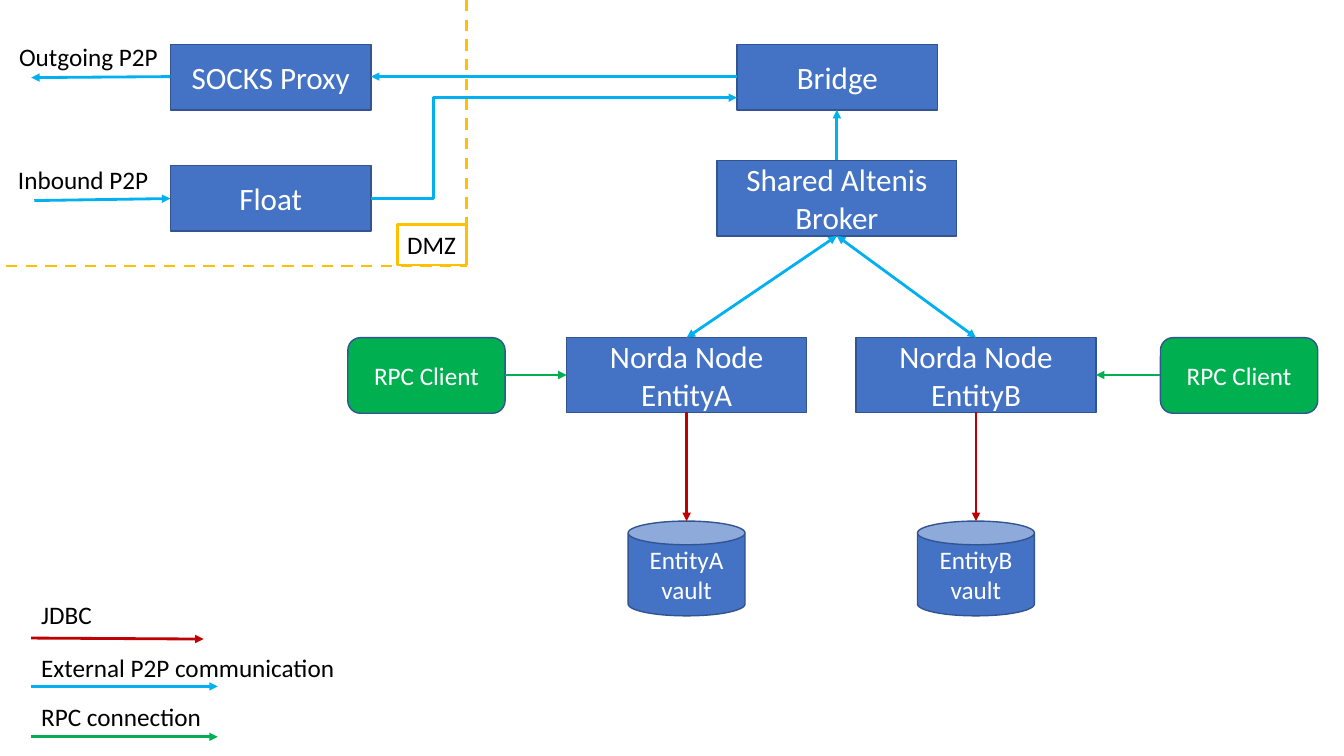
from dataclasses import dataclass
from typing import Optional

from lxml import etree
from pptx import Presentation
from pptx.dml.color import RGBColor
from pptx.enum.dml import MSO_LINE
from pptx.enum.shapes import MSO_CONNECTOR, MSO_SHAPE
from pptx.enum.text import MSO_ANCHOR, MSO_AUTO_SIZE, PP_ALIGN
from pptx.oxml.ns import qn
from pptx.util import Inches, Pt

COLORS = {
    "node": "4472C4",
    "border": "325491",
    "rpc": "00B050",
    "p2p": "00B0F0",
    "jdbc": "C00000",
    "dmz": "FFC000",
    "white": "FFFFFF",
    "black": "000000",
}
FONT = "Calibri"


@dataclass
class Style:
    preset: MSO_SHAPE
    fill: str
    size: float
    inset_x: float
    inset_y: float


@dataclass
class Box:
    text: str
    left: float
    top: float
    width: float
    height: float
    style: Style


@dataclass
class Label:
    text: str
    left: float
    top: float
    width: float
    border: Optional[str] = None


@dataclass
class Line:
    x1: float
    y1: float
    x2: float
    y2: float
    color: str
    head: bool = False
    tail: bool = True
    dashed: bool = False
    bend: Optional[float] = None


SERVER = Style(MSO_SHAPE.RECTANGLE, "node", 22.2, 0.12, 0.06)
VAULT = Style(MSO_SHAPE.CAN, "node", 18, 0.1, 0.05)
CLIENT = Style(MSO_SHAPE.ROUNDED_RECTANGLE, "rpc", 18, 0.1, 0.05)


def rgb(name: str) -> RGBColor:
    return RGBColor.from_string(COLORS[name])


def write(frame, text: str, size: float, color: str, align: PP_ALIGN) -> None:
    frame.text = text
    paragraph = frame.paragraphs[0]
    paragraph.alignment = align
    for run in paragraph.runs:
        run.font.name = FONT
        run.font.size = Pt(size)
        run.font.color.rgb = rgb(color)


def draw_box(shapes, box: Box) -> None:
    style = box.style
    shape = shapes.add_shape(style.preset, Inches(box.left), Inches(box.top),
                             Inches(box.width), Inches(box.height))
    shape.shadow.inherit = False
    shape.fill.solid()
    shape.fill.fore_color.rgb = rgb(style.fill)
    shape.line.color.rgb = rgb("border")
    shape.line.width = Pt(1)
    frame = shape.text_frame
    frame.word_wrap = True
    frame.vertical_anchor = MSO_ANCHOR.MIDDLE
    frame.margin_left = frame.margin_right = Inches(style.inset_x)
    frame.margin_top = frame.margin_bottom = Inches(style.inset_y)
    write(frame, box.text, style.size, "white", PP_ALIGN.CENTER)


def draw_label(shapes, label: Label) -> None:
    shape = shapes.add_textbox(Inches(label.left), Inches(label.top),
                               Inches(label.width), Inches(0.4))
    if label.border:
        shape.line.color.rgb = rgb(label.border)
        shape.line.width = Pt(2)
    frame = shape.text_frame
    frame.word_wrap = False
    frame.auto_size = MSO_AUTO_SIZE.SHAPE_TO_FIT_TEXT
    write(frame, label.text, 18, "black", PP_ALIGN.LEFT)


def draw_line(shapes, line: Line) -> None:
    kind = MSO_CONNECTOR.STRAIGHT if line.bend is None else MSO_CONNECTOR.ELBOW
    connector = shapes.add_connector(kind, Inches(line.x1), Inches(line.y1),
                                     Inches(line.x2), Inches(line.y2))
    connector.line.color.rgb = rgb(line.color)
    connector.line.width = Pt(2)
    if line.dashed:
        connector.line.dash_style = MSO_LINE.DASH
    properties = connector._element.spPr
    outline = properties.find(qn("a:ln"))
    for tag, shown in (("a:headEnd", line.head), ("a:tailEnd", line.tail)):
        if shown:
            etree.SubElement(outline, qn(tag), type="triangle")
    etree.SubElement(properties, qn("a:effectLst"))
    if line.bend is not None:
        guides = properties.find(qn("a:prstGeom")).find(qn("a:avLst"))
        etree.SubElement(guides, qn("a:gd"), name="adj1",
                         fmla=f"val {round(line.bend * 100000)}")


BROKER_X, BROKER_BOTTOM = 8.3, 2.34
NODE_TOP, NODE_WIDTH, NODE_HEIGHT = 3.35, 2.38, 0.74
VAULT_TOP, VAULT_WIDTH = 5.17, 1.16
CLIENT_WIDTH, RPC_Y = 1.56, 3.72

boxes = [
    Box("SOCKS Proxy", 1.69, 0.44, 1.99, 0.65, SERVER),
    Box("Float", 1.69, 1.64, 1.99, 0.65, SERVER),
    Box("Bridge", 7.31, 0.44, 1.99, 0.65, SERVER),
    Box("Shared Altenis Broker", 7.11, 1.59, NODE_WIDTH, 0.75, SERVER),
]
labels = [
    Label("Outgoing P2P", 0.09, 0.36, 1.59),
    Label("Inbound P2P", 0.08, 1.58, 1.51),
    Label("DMZ", 3.94, 2.23, 0.69, "dmz"),
    Label("JDBC", 0.31, 5.9, 0.71),
    Label("External P2P communication", 0.31, 6.42, 3.14),
    Label("RPC connection", 0.31, 6.91, 1.81),
]
lines = [
    Line(0.06, 2.64, 4.63, 2.64, "dmz", tail=False, dashed=True),
    Line(4.63, 0, 4.63, 2.58, "dmz", tail=False, dashed=True),
    Line(1.69, 0.76, 0.31, 0.77, "p2p"),
    Line(0.34, 1.99, 1.69, 1.97, "p2p"),
    Line(7.31, 0.76, 3.68, 0.76, "p2p"),
    Line(3.68, 1.97, 7.31, 0.97, "p2p", bend=0.17),
    Line(BROKER_X, 1.59, BROKER_X, 1.09, "p2p"),
    Line(0.31, 6.33, 2.02, 6.34, "jdbc"),
    Line(0.31, 6.81, 2.16, 6.81, "p2p"),
    Line(0.31, 7.31, 2.16, 7.31, "rpc"),
]

for entity, center, client_left in (("EntityA", 6.81, 3.45), ("EntityB", 9.68, 11.51)):
    node_left = center - NODE_WIDTH / 2
    boxes += [
        Box(f"Norda Node {entity}", node_left, NODE_TOP, NODE_WIDTH, NODE_HEIGHT, SERVER),
        Box(f"{entity}\vvault", center - VAULT_WIDTH / 2, VAULT_TOP, VAULT_WIDTH, 0.94, VAULT),
        Box("RPC Client", client_left, NODE_TOP, CLIENT_WIDTH, 0.75, CLIENT),
    ]
    if client_left < center:
        rpc_start, rpc_end = client_left + CLIENT_WIDTH, node_left
    else:
        rpc_start, rpc_end = client_left, node_left + NODE_WIDTH
    lines += [
        Line(center, NODE_TOP, BROKER_X, BROKER_BOTTOM, "p2p", head=True),
        Line(center, NODE_TOP + NODE_HEIGHT, center, VAULT_TOP, "jdbc"),
        Line(rpc_start, RPC_Y, rpc_end, RPC_Y, "rpc"),
    ]

presentation = Presentation()
presentation.slide_width = Inches(13.33)
presentation.slide_height = Inches(7.5)
slide = presentation.slides.add_slide(presentation.slide_layouts[6])
for item in boxes:
    draw_box(slide.shapes, item)
for item in lines:
    draw_line(slide.shapes, item)
for item in labels:
    draw_label(slide.shapes, item)
presentation.save("out.pptx")
